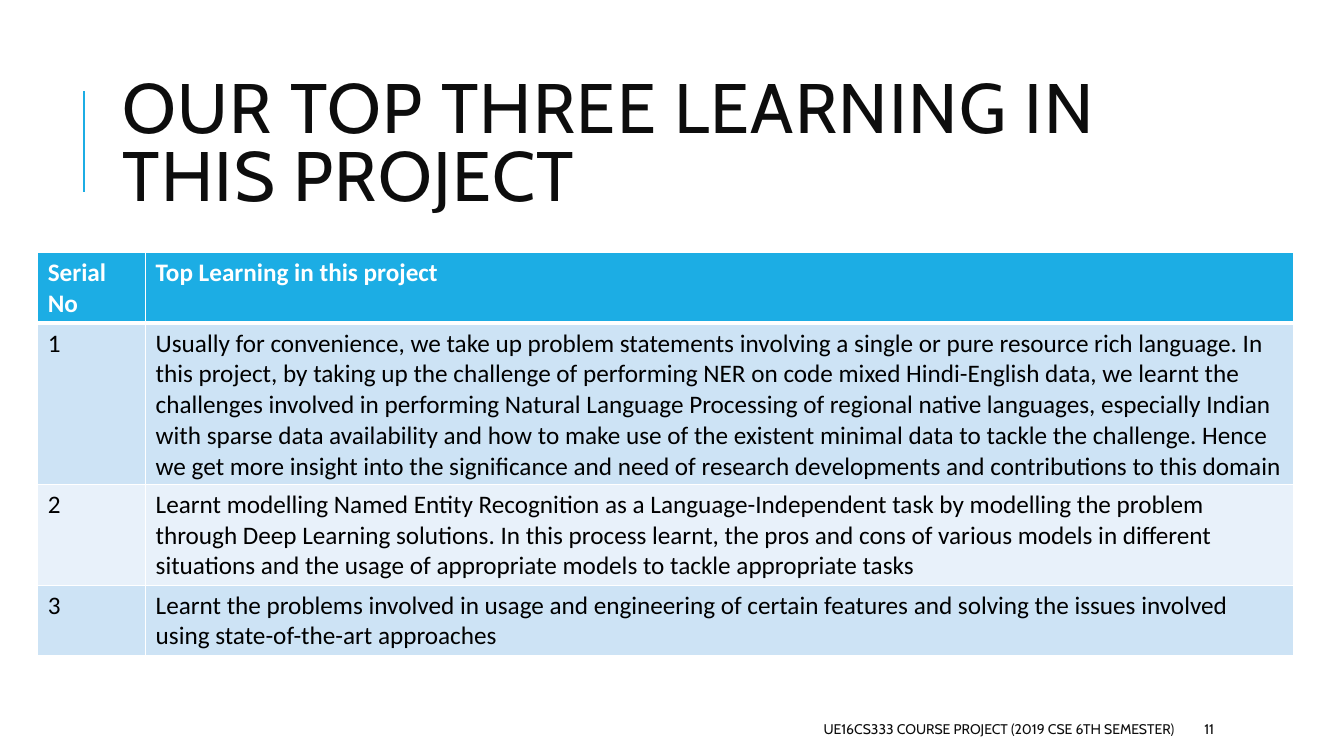
from dataclasses import dataclass

from lxml.etree import SubElement
from pptx import Presentation
from pptx.dml.color import RGBColor
from pptx.enum.shapes import MSO_CONNECTOR
from pptx.enum.text import MSO_ANCHOR, MSO_AUTO_SIZE, PP_ALIGN
from pptx.oxml.ns import qn
from pptx.util import Cm, Pt

COLORS = {
    "accent": "1CADE4",
    "title": "0D0D0D",
    "text": "000000",
    "white": "FFFFFF",
    "band_dark": "CDE3F5",
    "band_light": "E8F1FA",
}
HEADING_FONT, TABLE_FONT = "Cabin", "Calibri"
THIN, THICK = 1, 3
HEADER = ("Serial\nNo", "Top Learning in this project")
LEARNINGS = (
    "Usually for convenience, we take up problem statements involving a single or pure "
    "resource rich language. In this project, by taking up the challenge of performing NER "
    "on code mixed Hindi-English data, we learnt the challenges involved in performing "
    "Natural Language Processing of regional native languages, especially Indian with sparse "
    "data availability and how to make use of the existent minimal data to tackle the "
    "challenge. Hence we get more insight into the significance and need of research "
    "developments and contributions to this domain",
    "Learnt modelling Named Entity Recognition as a Language-Independent task by modelling "
    "the problem through Deep Learning solutions. In this process learnt, the pros and cons "
    "of various models in different situations and the usage of appropriate models to tackle "
    "appropriate tasks",
    "Learnt the problems involved in usage and engineering of certain features and solving "
    "the issues involved using state-of-the-art approaches",
)


@dataclass
class FooterItem:
    text: str
    left: float
    width: float
    align: PP_ALIGN


FOOTER = (
    FooterItem("UE16CS333 COURSE PROJECT (2019 CSE 6TH SEMESTER)", 13.46, 16.38, PP_ALIGN.RIGHT),
    FooterItem("11", 30.1, 2.69, PP_ALIGN.LEFT),
)


def rgb(name: str) -> RGBColor:
    return RGBColor.from_string(COLORS[name])


def set_font(p, name: str, size: float, color: str, bold: bool = False) -> None:
    p.font.name, p.font.size, p.font.bold = name, Pt(size), bold
    p.font.color.rgb = rgb(color)


def add_title(slide) -> None:
    sp = slide.shapes.title
    sp.left, sp.top, sp.width, sp.height = Cm(2.84), Cm(1.63), Cm(27), Cm(4.17)
    tf = sp.text_frame
    tf.text = "OUR TOP THREE LEARNING IN THIS PROJECT"
    tf.word_wrap, tf.auto_size = True, MSO_AUTO_SIZE.NONE
    tf.vertical_anchor = MSO_ANCHOR.MIDDLE
    p = tf.paragraphs[0]
    p.alignment, p.line_spacing = PP_ALIGN.LEFT, 0.8
    set_font(p, HEADING_FONT, 50, "title")
    p._p.pPr.find(qn("a:defRPr")).set("spc", "100")


def add_title_bar(slide) -> None:
    bar = slide.shapes.add_connector(MSO_CONNECTOR.STRAIGHT, Cm(2.12), Cm(4.83), Cm(2.12), Cm(2.3))
    bar.line.color.rgb, bar.line.width = rgb("accent"), Pt(1.5)
    SubElement(bar._element.spPr, qn("a:effectLst"))


def add_footer_item(slide, item: FooterItem) -> None:
    sp = slide.shapes.add_textbox(Cm(item.left), Cm(17.98), Cm(item.width), Cm(0.76))
    tf = sp.text_frame
    tf.text, tf.word_wrap, tf.vertical_anchor = item.text, True, MSO_ANCHOR.MIDDLE
    p = tf.paragraphs[0]
    p.alignment = item.align
    set_font(p, HEADING_FONT, 10, "title")


def set_borders(cell, top: float, bottom: float) -> None:
    """Draw white borders; must run before the fill is set."""
    tc_pr = cell._tc.get_or_add_tcPr()
    for side, width in {"L": THIN, "R": THIN, "T": top, "B": bottom}.items():
        ln = SubElement(tc_pr, qn(f"a:ln{side}"), w=str(Pt(width)))
        SubElement(SubElement(ln, qn("a:solidFill")), qn("a:srgbClr"), val=COLORS["white"])


def add_learning_table(slide) -> None:
    rows = [HEADER, *((str(n), text) for n, text in enumerate(LEARNINGS, 1))]
    row_height = Cm(1.04)
    frame = slide.shapes.add_table(len(rows), 2, Cm(0.95), Cm(6.36), Cm(31.65), row_height * len(rows))
    table = frame.table
    for column, width in zip(table.columns, (2.72, 28.93)):
        column.width = Cm(width)
    for i, texts in enumerate(rows):
        table.rows[i].height = row_height
        header = i == 0
        fill = "accent" if header else ("band_light", "band_dark")[i % 2]
        for cell, text in zip(table.rows[i].cells, texts):
            set_borders(cell, THICK if i == 1 else THIN, THICK if header else THIN)
            cell.fill.solid()
            cell.fill.fore_color.rgb = rgb(fill)
            cell.text_frame.text = text
            for p in cell.text_frame.paragraphs:
                set_font(p, TABLE_FONT, 18, "white" if header else "text", header)


def main() -> None:
    prs = Presentation()
    prs.slide_width, prs.slide_height = Cm(33.87), Cm(19.05)
    slide = prs.slides.add_slide(prs.slide_layouts[5])
    add_title_bar(slide)
    add_title(slide)
    for item in FOOTER:
        add_footer_item(slide, item)
    add_learning_table(slide)
    prs.save("out.pptx")


if __name__ == "__main__":
    main()
